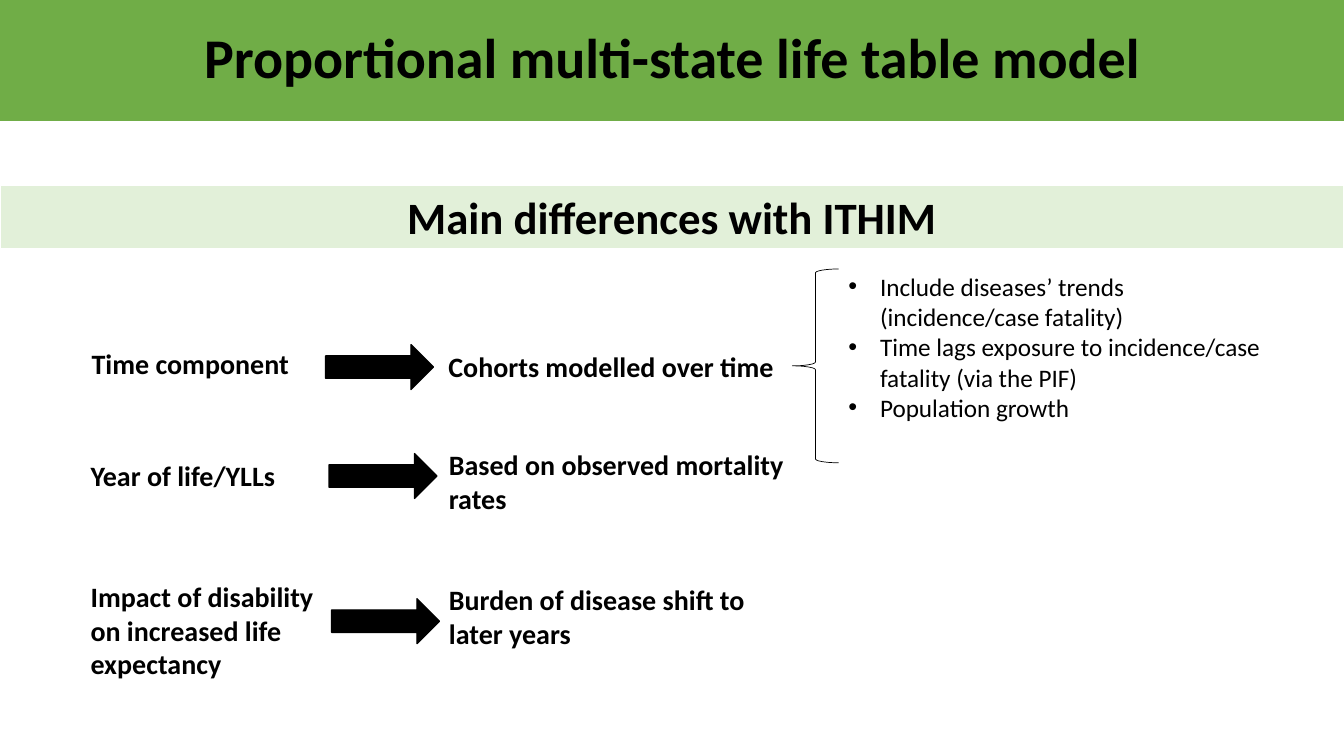
from dataclasses import dataclass

from lxml.etree import SubElement
from pptx import Presentation
from pptx.dml.color import RGBColor
from pptx.enum.shapes import MSO_SHAPE
from pptx.enum.text import MSO_ANCHOR, PP_ALIGN
from pptx.oxml.ns import qn
from pptx.shapes.autoshape import Shape
from pptx.slide import Slide
from pptx.util import Pt

FONT = "Calibri"
BLACK = "000000"
WHITE = "FFFFFF"
GREEN = "70AD47"
PALE = "E2F0D9"

Box = tuple[float, float, float, float]


@dataclass
class Label:
    text: str
    box: Box
    wrap: bool


@dataclass
class Row:
    cause: Label
    arrow: tuple[float, float]
    effect: Label


ROWS = [
    Row(Label("Time component", (58.3, 244.1, 157, 31.5), False),
        (232.6, 246.2),
        Label("Cohorts modelled over time", (313.2, 246.2, 249, 31.5), False)),
    Row(Label("Year of life/YLLs", (57.6, 324, 147.6, 31.5), False),
        (235.1, 324),
        Label("Based on observed mortality rates", (313.6, 316.1, 263.5, 55.7), True)),
    Row(Label("Impact of disability on increased life expectancy",
              (57.6, 410.4, 178.6, 80), True),
        (236.9, 427.7),
        Label("Burden of disease shift to later years", (313.6, 412.6, 263.5, 55.7), True)),
]

POINTS = [
    "Include diseases’ trends (incidence/case fatality)",
    "Time lags exposure to incidence/case fatality (via the PIF)",
    "Population growth",
]


def paint(part, color: str) -> None:
    """Give a fill or a line one solid colour."""
    part.solid()
    part.fore_color.rgb = RGBColor.from_string(color)


def style(shape: Shape, size: float, bold: bool, align: PP_ALIGN) -> None:
    for para in shape.text_frame.paragraphs:
        para.alignment = align
        for run in para.runs:
            run.font.name = FONT
            run.font.size = Pt(size)
            run.font.bold = bold
            paint(run.font.fill, BLACK)


def draw(slide: Slide, kind: MSO_SHAPE, box: Box, fill: str | None,
         line: str | None, width: float = 1) -> Shape:
    shape = slide.shapes.add_shape(kind, *map(Pt, box))
    shape.shadow.inherit = False
    if fill:
        paint(shape.fill, fill)
    else:
        shape.fill.background()
    if line:
        paint(shape.line.fill, line)
        shape.line.width = Pt(width)
    else:
        shape.line.fill.background()
    return shape


def band(slide: Slide, text: str, box: Box, fill: str, line: str | None,
         size: float) -> Shape:
    shape = draw(slide, MSO_SHAPE.RECTANGLE, box, fill, line)
    shape.text_frame.text = text
    shape.text_frame.vertical_anchor = MSO_ANCHOR.MIDDLE
    style(shape, size, True, PP_ALIGN.CENTER)
    return shape


def write(slide: Slide, label: Label, size: float = 20, bold: bool = True) -> Shape:
    shape = slide.shapes.add_textbox(*map(Pt, label.box))
    shape.text_frame.word_wrap = label.wrap
    shape.text_frame.text = label.text
    style(shape, size, bold, PP_ALIGN.LEFT)
    return shape


def bullet(shape: Shape, indent: float) -> None:
    for para in shape.text_frame.paragraphs:
        props = para._p.get_or_add_pPr()
        props.set("marL", str(Pt(indent)))
        props.set("indent", str(-Pt(indent)))
        SubElement(props, qn("a:buFont"), typeface="Arial")
        SubElement(props, qn("a:buChar"), char="•")


def main() -> None:
    deck = Presentation()
    deck.slide_width, deck.slide_height = Pt(960), Pt(540)
    slide = deck.slides.add_slide(deck.slide_layouts[6])

    # Heading bands
    band(slide, "Main differences with ITHIM", (0, 132, 960, 46), PALE, WHITE, 32)
    title = band(slide, "Proportional multi-state life table model",
                 (0, 0, 960, 86.4), GREEN, None, 40)
    title.text_frame.paragraphs[0].line_spacing = 0.9

    # Rows: cause, arrow, effect
    for row in ROWS:
        write(slide, row.cause)
        draw(slide, MSO_SHAPE.RIGHT_ARROW, (*row.arrow, 77, 32), BLACK, BLACK)
        write(slide, row.effect)

    # Details of the cohorts
    draw(slide, MSO_SHAPE.LEFT_BRACE, (566, 192.2, 33, 138.4), None, BLACK, 0.5)
    notes = Label("\n".join(POINTS), (599, 190.1, 327.6, 138.2), True)
    bullet(write(slide, notes, 18, False), 22.5)

    deck.save("out.pptx")


if __name__ == "__main__":
    main()
